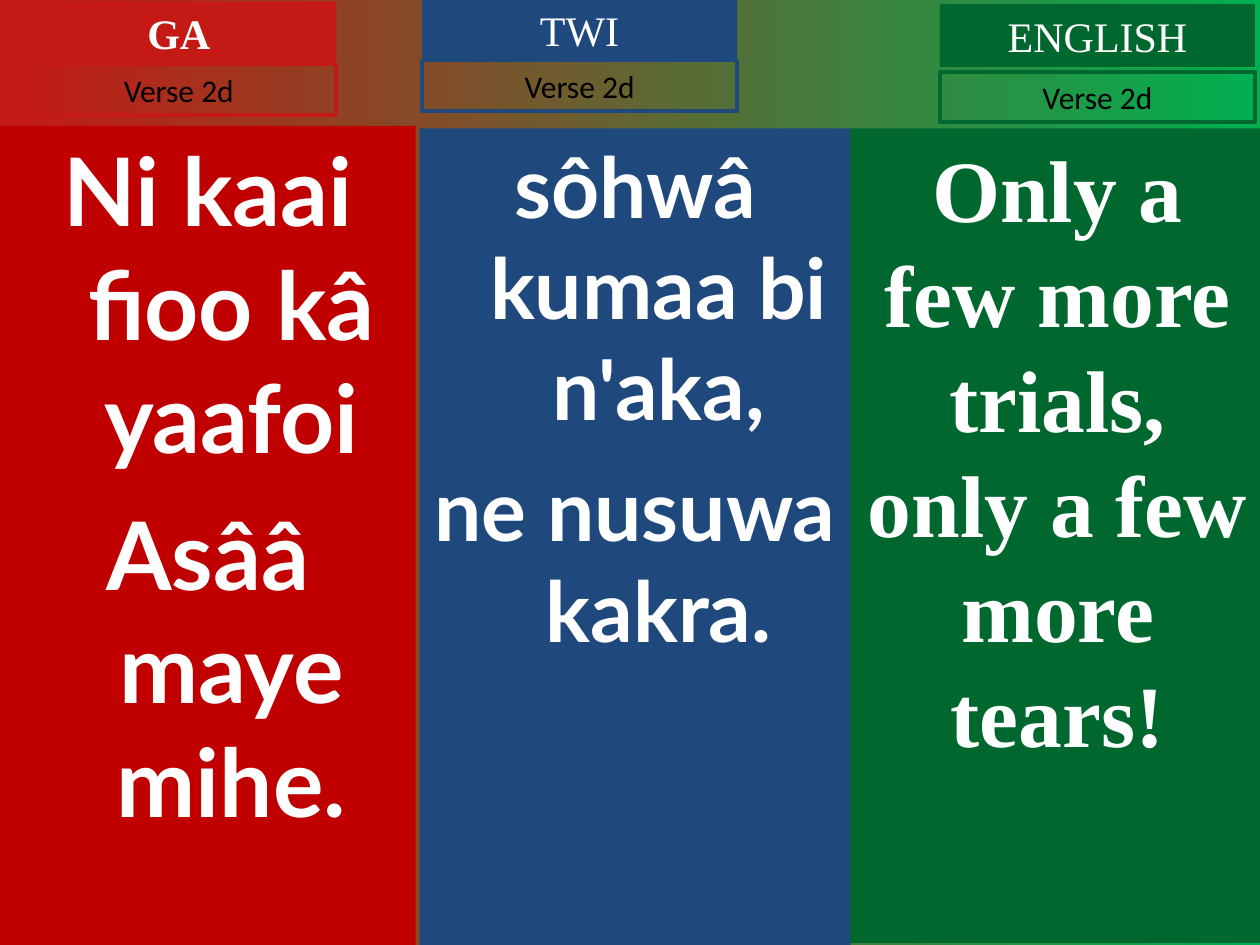
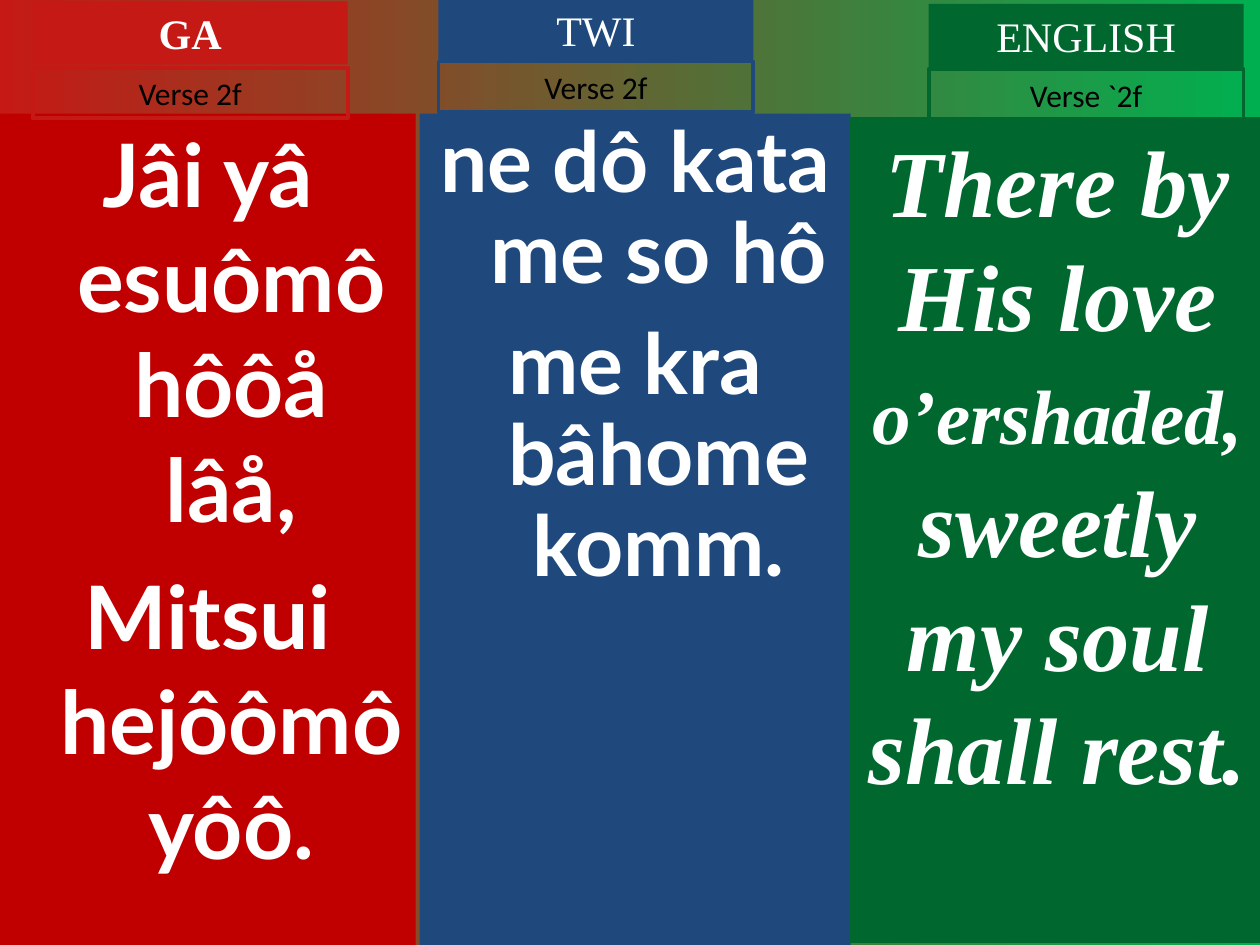
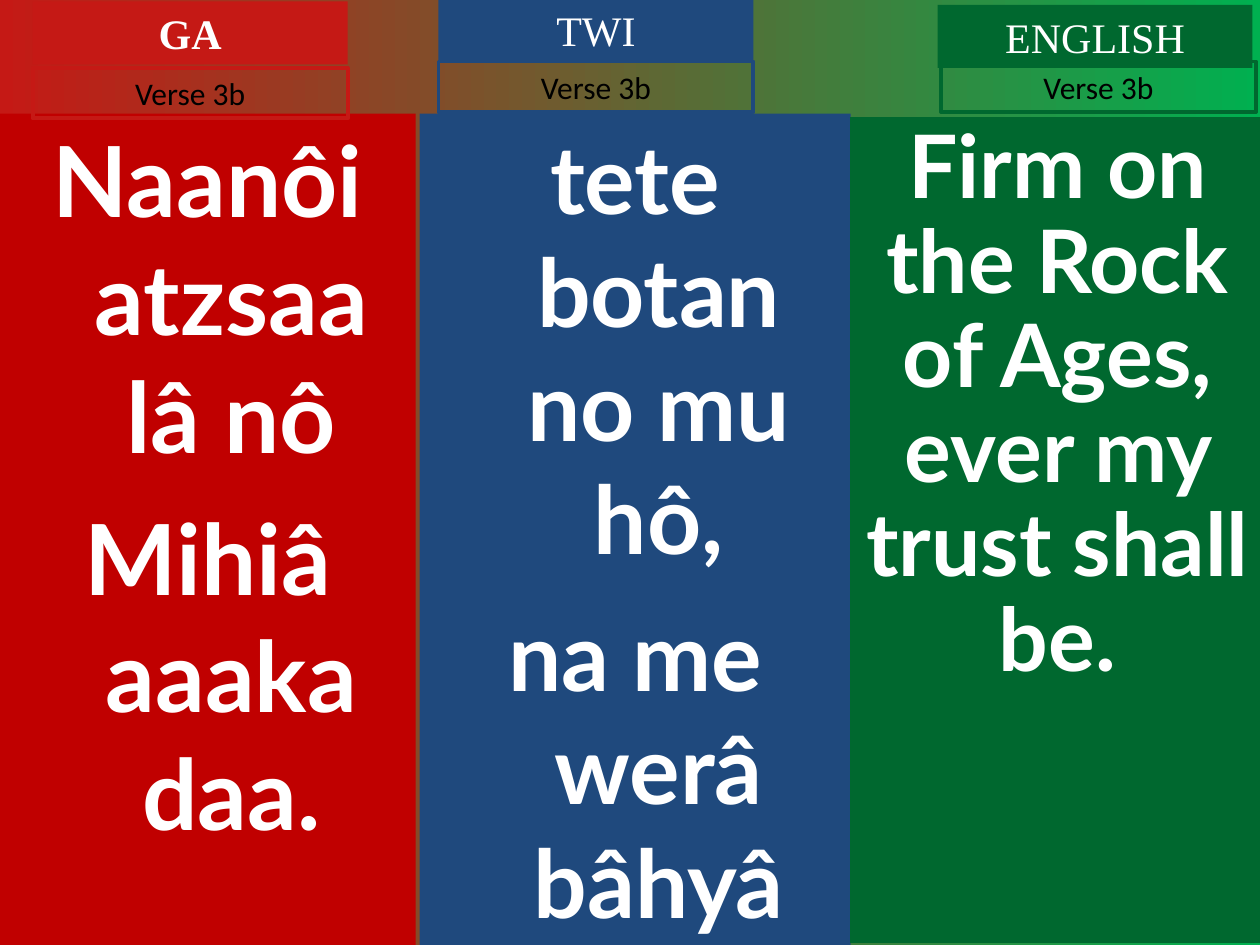
"""Build three hymn slides with Ga, Twi and English verses side by side."""
from dataclasses import dataclass

from pptx import Presentation
from pptx.dml.color import RGBColor
from pptx.enum.shapes import MSO_SHAPE as Shape
from pptx.enum.text import MSO_ANCHOR as Anchor, MSO_AUTO_SIZE as AutoSize, PP_ALIGN as Align
from pptx.util import Cm, Pt

COLORS = {
    "ga_body": "C00000", "ga_tab": "C51915",
    "twi": "1F497D", "english": "00682F",
    "background_end": "00B050", "white": "FFFFFF", "black": "000000",
}
LATO, TIMES, CALIBRI = "Lato", "Times New Roman", "Calibri"


@dataclass
class Column:
    title: str
    left: float
    width: float
    bottom: float
    body_color: str
    tab_color: str
    bold_title: bool = False
    hanging: float = 0


@dataclass
class Verse:
    label: str
    body_top: float
    title_at: tuple
    label_at: tuple
    paragraphs: list
    size: float
    font: str = LATO
    italic: bool = False
    line_spacing: float = 1.0


COLUMNS = [
    Column("GA", 0, 8.38, 19.05, "ga_body", "ga_tab", bold_title=True, hanging=0.95),
    Column("TWI", 8.46, 8.69, 19.05, "twi", "twi", hanging=0.95),
    Column("ENGLISH", 17.14, 8.36, 19.01, "english", "english"),
]

SLIDES = [
    [
        Verse("Verse 2d", 2.54, (0.43, 0.03), (0.43, 1.3),
              [["Ni kaai fioo kâ yaafoi"], ["Asââ maye mihe."]], 54),
        Verse("Verse 2d", 2.59, (8.51, -0.03), (8.51, 1.22),
              [["sôhwâ kumaa bi n'aka,"], ["ne nusuwa kakra."]], 48),
        Verse("Verse 2d", 2.59, (18.95, 0.08), (18.95, 1.45),
              [["Only a few more trials, only a few more tears!"]], 50, TIMES),
    ],
    [
        Verse("Verse 2f", 2.29, (0.66, 0.03), (0.66, 1.37),
              [["Jâi yâ esuômô hôôå lâå,"], ["Mitsui hejôômô yôô."]], 50),
        Verse("Verse 2f", 2.29, (8.84, -0.03), (8.84, 1.24),
              [["ne dô kata me so hô"], ["me kra bâhome komm."]], 48, line_spacing=0.9),
        Verse("Verse `2f", 2.36, (18.72, 0.08), (18.72, 1.4),
              [["There by His love ", ("o’ershaded,", 44), " sweetly my soul shall rest."]],
              54, TIMES, italic=True),
    ],
    [
        Verse("Verse 3b", 2.29, (0.66, 0.03), (0.66, 1.37),
              [["Naanôi atzsaa lâ nô"], ["Mihiâ aaaka daa."]], 56),
        Verse("Verse 3b", 2.29, (8.84, -0.03), (8.84, 1.24),
              [["tete botan no mu hô,"], ["na me werâ bâhyâ"]], 54),
        Verse("Verse 3b", 2.36, (18.9, 0.1), (18.97, 1.24),
              [["Firm on the Rock of Ages, ever my trust shall be."]], 50, line_spacing=0.9),
    ],
]


class HymnDeck:
    """Hold the shared style and the slide being filled."""

    tab_width, title_height, label_height = 6.35, 1.27, 1.02

    def __init__(self):
        self.presentation = Presentation()
        self.presentation.slide_width, self.presentation.slide_height = Cm(25.4), Cm(19.05)
        fill = self.presentation.slide_master.background.fill
        fill.gradient()
        fill.gradient_angle = 0
        for stop, name in zip(fill.gradient_stops, ("ga_tab", "background_end")):
            stop.color.rgb = self.color(name)
        self.slide = None

    def color(self, name):
        return RGBColor.from_string(COLORS[name])

    def new_slide(self):
        self.slide = self.presentation.slides.add_slide(self.presentation.slide_layouts[6])

    def box(self, left, top, width, height, fill=None, line=None):
        shape = self.slide.shapes.add_shape(
            Shape.RECTANGLE, Cm(left), Cm(top), Cm(width), Cm(height))
        shape.shadow.inherit = False
        if fill:
            shape.fill.solid()
            shape.fill.fore_color.rgb = self.color(fill)
        else:
            shape.fill.background()
        if line:
            shape.line.color.rgb = self.color(line)
            shape.line.width = Pt(2.25)
        else:
            shape.line.fill.background()
        shape.text_frame.word_wrap = True
        shape.text_frame.vertical_anchor = Anchor.TOP
        return shape

    def format_run(self, run, size, font, color, bold=False, italic=False):
        run.font.size, run.font.name = Pt(size), font
        run.font.bold, run.font.italic = bold, italic
        run.font.color.rgb = self.color(color)

    def tab(self, position, height, text, size, font, color, bold=False, **paint):
        shape = self.box(*position, self.tab_width, height, **paint)
        shape.text_frame.auto_size = AutoSize.SHAPE_TO_FIT_TEXT
        shape.text_frame.text = text
        paragraph = shape.text_frame.paragraphs[0]
        paragraph.alignment = Align.CENTER
        self.format_run(paragraph.runs[0], size, font, color, bold)

    def title(self, column, verse):
        self.tab(verse.title_at, self.title_height, column.title, 24, TIMES, "white",
                 column.bold_title, fill=column.tab_color)

    def label(self, column, verse):
        self.tab(verse.label_at, self.label_height, verse.label, 18, CALIBRI, "black",
                 line=column.tab_color)

    def body(self, column, verse):
        shape = self.box(column.left, verse.body_top, column.width,
                         column.bottom - verse.body_top, fill=column.body_color)
        frame = shape.text_frame
        for index, pieces in enumerate(verse.paragraphs):
            paragraph = frame.add_paragraph() if index else frame.paragraphs[0]
            paragraph.alignment = Align.CENTER
            paragraph.line_spacing = verse.line_spacing
            if index:
                paragraph.space_before = Pt(verse.size / 4)
            if column.hanging:
                properties = paragraph._p.get_or_add_pPr()
                properties.set("marL", str(Cm(column.hanging)))
                properties.set("indent", str(-Cm(column.hanging)))
            for piece in pieces:
                text, size = piece if isinstance(piece, tuple) else (piece, verse.size)
                run = paragraph.add_run()
                run.text = text
                self.format_run(run, size, verse.font, "white", True, verse.italic)


def main():
    deck = HymnDeck()
    for verses in SLIDES:
        deck.new_slide()
        for draw in (deck.body, deck.title, deck.label):
            for column, verse in zip(COLUMNS, verses):
                draw(column, verse)
    deck.presentation.save("out.pptx")


if __name__ == "__main__":
    main()
